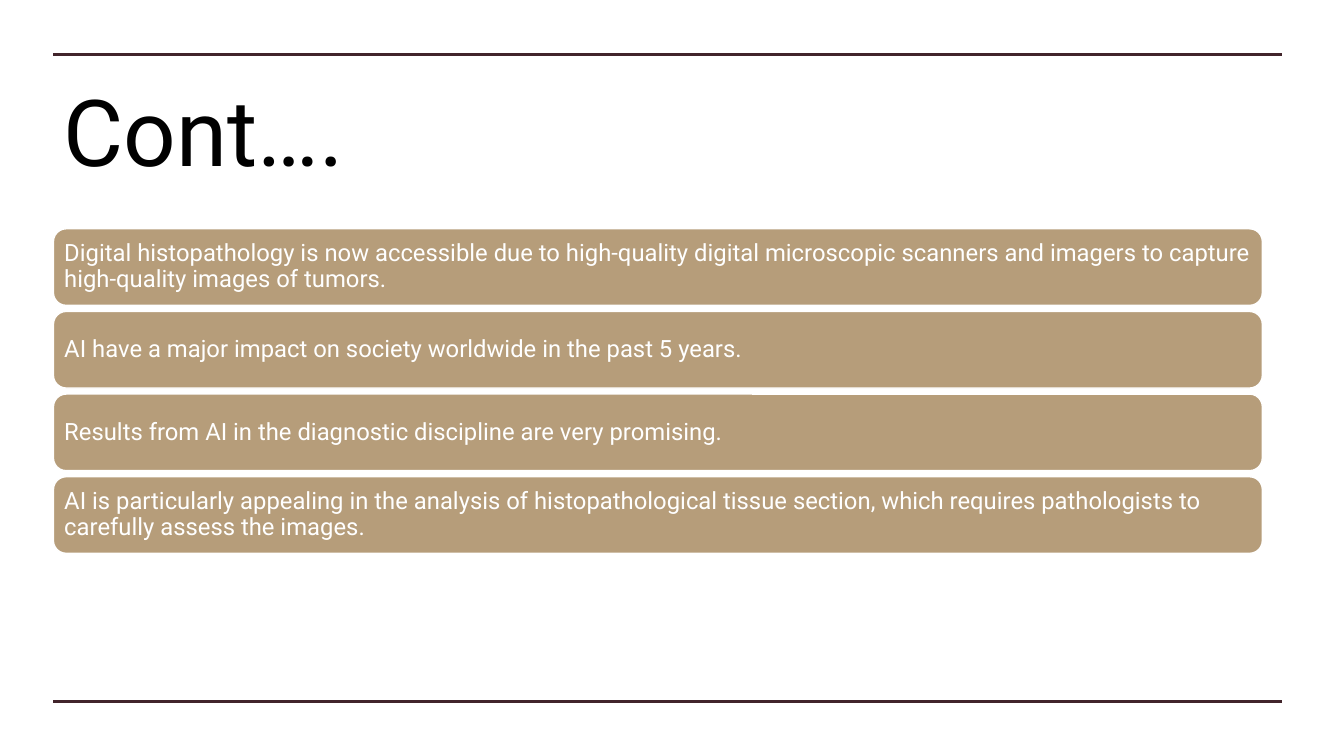
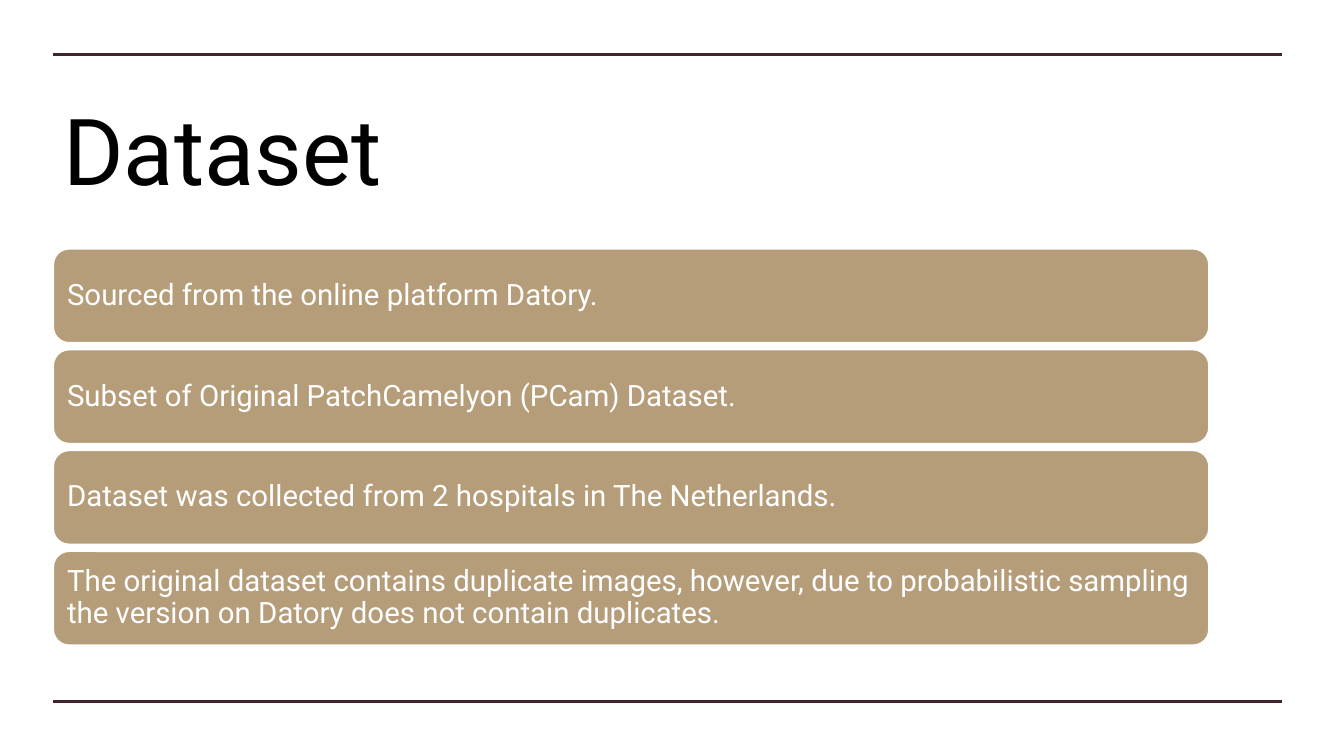
from lxml.etree import SubElement
from pptx import Presentation
from pptx.dml.color import RGBColor
from pptx.enum.shapes import MSO_CONNECTOR as Connector, MSO_SHAPE as Shape
from pptx.enum.text import MSO_ANCHOR as Anchor, PP_ALIGN as Align
from pptx.oxml.ns import qn
from pptx.util import Inches, Pt

PLUM = RGBColor(0x41, 0x24, 0x2B)
TAN = RGBColor(0xB6, 0x9D, 0x7A)
WHITE = RGBColor(0xFF, 0xFF, 0xFF)
BLACK = RGBColor(0x00, 0x00, 0x00)
FONT = "Roboto"
LEFT, RIGHT = 0.53, 12.72
RULE_TOPS = (0.54, 6.96)


class Deck:
    """Holds the shared style and the slide being built."""

    def __init__(self):
        self.prs = Presentation()
        self.prs.slide_width = Inches(13.33)
        self.prs.slide_height = Inches(7.5)
        self.slide = None

    def new_slide(self):
        self.slide = self.prs.slides.add_slide(self.prs.slide_layouts[6])
        for top in RULE_TOPS:
            self.rule(top)

    def rule(self, top):
        rule = self.slide.shapes.add_connector(
            Connector.STRAIGHT, Inches(LEFT), Inches(top), Inches(RIGHT), Inches(top))
        rule.line.color.rgb = PLUM
        rule.line.width = Pt(2.25)
        SubElement(rule._element.spPr, qn("a:effectLst"))

    def set_text(self, frame, text, size, color):
        frame.word_wrap = True
        frame.vertical_anchor = Anchor.MIDDLE
        paragraph = frame.paragraphs[0]
        paragraph.text = text
        paragraph.alignment = Align.LEFT
        paragraph.font.name = FONT
        paragraph.font.size = Pt(size)
        paragraph.font.color.rgb = color
        return paragraph

    def title(self, text, top, width):
        title = self.slide.shapes.add_textbox(
            Inches(LEFT), Inches(top), Inches(width), Inches(1.28))
        self.set_text(title.text_frame, text, 66, BLACK)

    def card(self, text, top, width, height, size, inset):
        card = self.slide.shapes.add_shape(
            Shape.ROUNDED_RECTANGLE, Inches(LEFT), Inches(top), Inches(width), Inches(height))
        card.shadow.inherit = False
        card.fill.solid()
        card.fill.fore_color.rgb = TAN
        card.line.color.rgb = WHITE
        card.line.width = Pt(1)
        frame = card.text_frame
        frame.margin_left = frame.margin_right = Inches(inset)
        frame.margin_top = frame.margin_bottom = Inches(inset)
        self.set_text(frame, text, size, WHITE).line_spacing = 0.9

    def card_stack(self, points, top, pitch, **card_style):
        for row, point in enumerate(points):
            self.card(point, top + row * pitch, **card_style)


def main():
    deck = Deck()

    deck.new_slide()
    deck.title("Cont….", top=0.65, width=11.63)
    deck.card_stack([
        "Digital histopathology is now accessible due to high-quality digital microscopic "
        "scanners and imagers to capture high-quality images of tumors.",
        "AI have a major impact on society worldwide in the past 5 years.",
        "Results from AI in the diagnostic discipline are very promising.",
        "AI is particularly appealing in the analysis of histopathological tissue section, "
        "which requires pathologists to carefully assess the images.",
    ], top=2.27, pitch=0.82, width=11.99, height=0.76, size=17, inset=0.07)

    deck.new_slide()
    deck.title("Dataset", top=0.83, width=3.83)
    deck.card_stack([
        "Sourced from the online platform Datory.",
        "Subset of Original PatchCamelyon (PCam) Dataset.",
        "Dataset was collected from 2 hospitals in The Netherlands.",
        "The original dataset contains duplicate images, however, due to probabilistic "
        "sampling the version on Datory does not contain duplicates.",
    ], top=2.47, pitch=1, width=11.46, height=0.93, size=21, inset=0.09)

    deck.prs.save("out.pptx")


if __name__ == "__main__":
    main()
